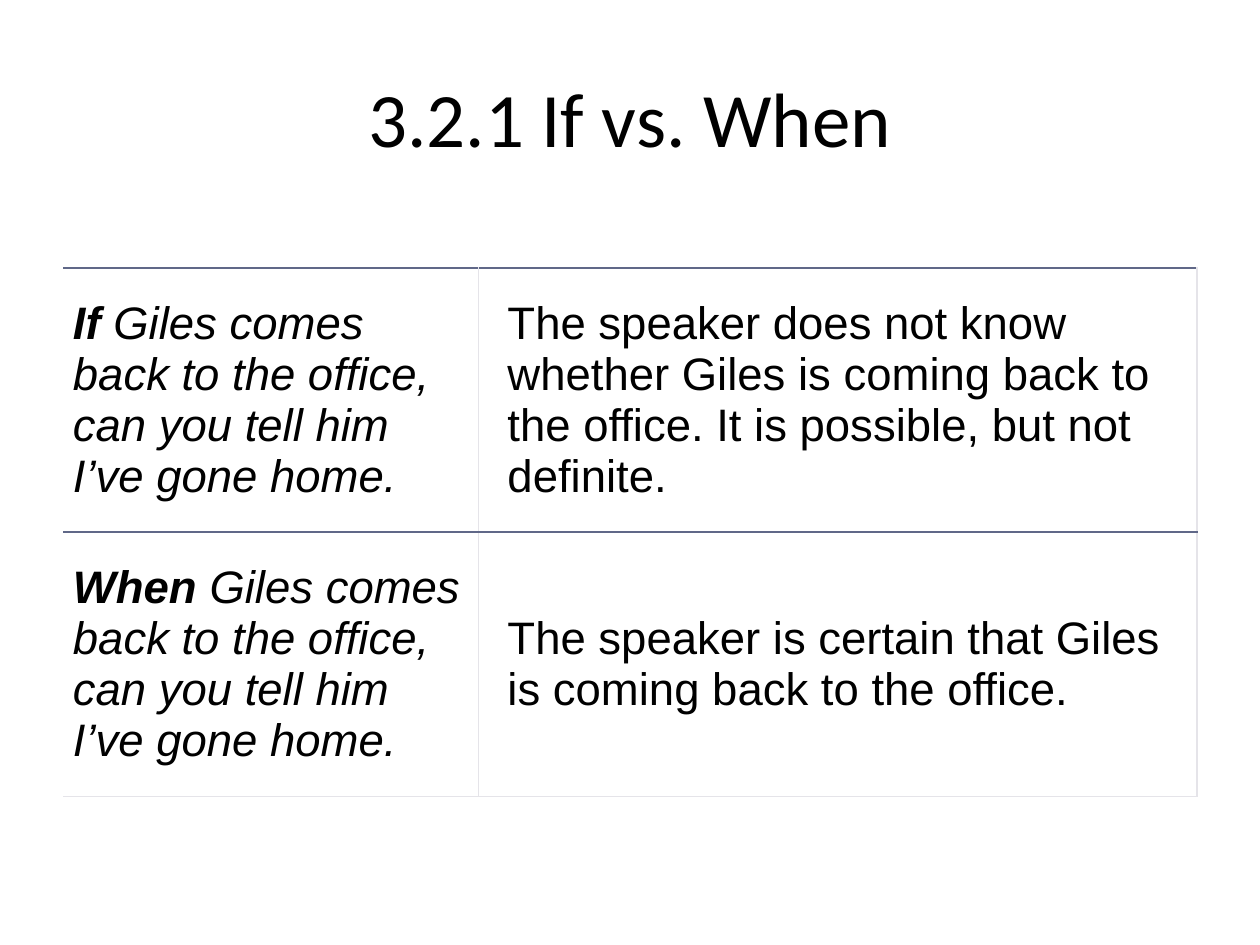
from lxml.etree import SubElement
from pptx import Presentation
from pptx.dml.color import RGBColor
from pptx.enum.text import MSO_ANCHOR as Anchor, PP_ALIGN as Align
from pptx.oxml.ns import qn
from pptx.util import Cm, Pt

COLORS = {"text": "000000", "rule": "606888", "grid": "E5E4E9"}
COLUMN_WIDTHS = (8.38, 14.48)
ROW_HEIGHT = 5.33
REQUEST = " Giles comes back to the office, can you tell him I’ve gone home."
ROWS = (
    ("If", "The speaker does not know whether Giles is coming back to the office. "
           "It is possible, but not definite."),
    ("When", "The speaker is certain that Giles is coming back to the office."),
)


def add_text(paragraph, text, font="Arial", size=26, bold=False, italic=False):
    """Append a formatted run to a paragraph."""
    run = paragraph.add_run()
    run.text = text
    run.font.name = font
    run.font.size = Pt(size)
    run.font.bold = bold
    run.font.italic = italic
    run.font.color.rgb = RGBColor.from_string(COLORS["text"])


def add_border(cell, side, color=None, width=1):
    """Draw one side of a cell, or hide it when no color is given."""
    line = SubElement(cell._tc.get_or_add_tcPr(), qn(f"a:{side}"), w=str(Pt(width)))
    if color is None:
        SubElement(line, qn("a:noFill"))
    else:
        fill = SubElement(line, qn("a:solidFill"))
        SubElement(fill, qn("a:srgbClr"), val=COLORS[color])


def format_cell(cell, is_first_column, is_last_row):
    """Set the margins, anchor, borders and empty fill of a cell."""
    cell.margin_left = Cm(0.2 if is_first_column else 0.58)
    cell.margin_right = Cm(0.2)
    cell.margin_top = cell.margin_bottom = Cm(0.38)
    cell.vertical_anchor = Anchor.MIDDLE
    add_border(cell, "lnL", None if is_first_column else "grid")
    add_border(cell, "lnR", "grid")
    add_border(cell, "lnT", "rule", 1.5)
    if is_last_row:
        add_border(cell, "lnB", "grid", 0.75)
    else:
        add_border(cell, "lnB", "rule", 1.5)
    cell.fill.background()


def add_title(slide, text):
    """Place and fill the title placeholder."""
    title = slide.shapes.title
    title.left, title.top = Cm(1.27), Cm(0.76)
    title.width, title.height = Cm(22.86), Cm(3.18)
    title.text_frame.vertical_anchor = Anchor.MIDDLE
    paragraph = title.text_frame.paragraphs[0]
    paragraph.alignment = Align.CENTER
    add_text(paragraph, text, font="Calibri", size=44)


def add_comparison(slide):
    """Add the table that sets each request beside its meaning."""
    table = slide.shapes.add_table(
        len(ROWS), len(COLUMN_WIDTHS), Cm(1.27), Cm(5.4),
        Cm(sum(COLUMN_WIDTHS)), Cm(ROW_HEIGHT * len(ROWS))).table
    table.first_row = table.horz_banding = False
    for column, width in zip(table.columns, COLUMN_WIDTHS):
        column.width = Cm(width)
    for index, (conjunction, meaning) in enumerate(ROWS):
        table.rows[index].height = Cm(ROW_HEIGHT)
        request_cell, meaning_cell = table.rows[index].cells
        is_last_row = index == len(ROWS) - 1
        format_cell(request_cell, True, is_last_row)
        format_cell(meaning_cell, False, is_last_row)
        paragraph = request_cell.text_frame.paragraphs[0]
        add_text(paragraph, conjunction, bold=True, italic=True)
        add_text(paragraph, REQUEST, italic=True)
        add_text(meaning_cell.text_frame.paragraphs[0], meaning)


def main():
    """Build and save the slide."""
    presentation = Presentation()
    presentation.slide_width, presentation.slide_height = Cm(25.4), Cm(19.05)
    slide = presentation.slides.add_slide(presentation.slide_layouts[5])
    add_comparison(slide)
    add_title(slide, "3.2.1 If vs. When")
    presentation.save("out.pptx")


if __name__ == "__main__":
    main()
